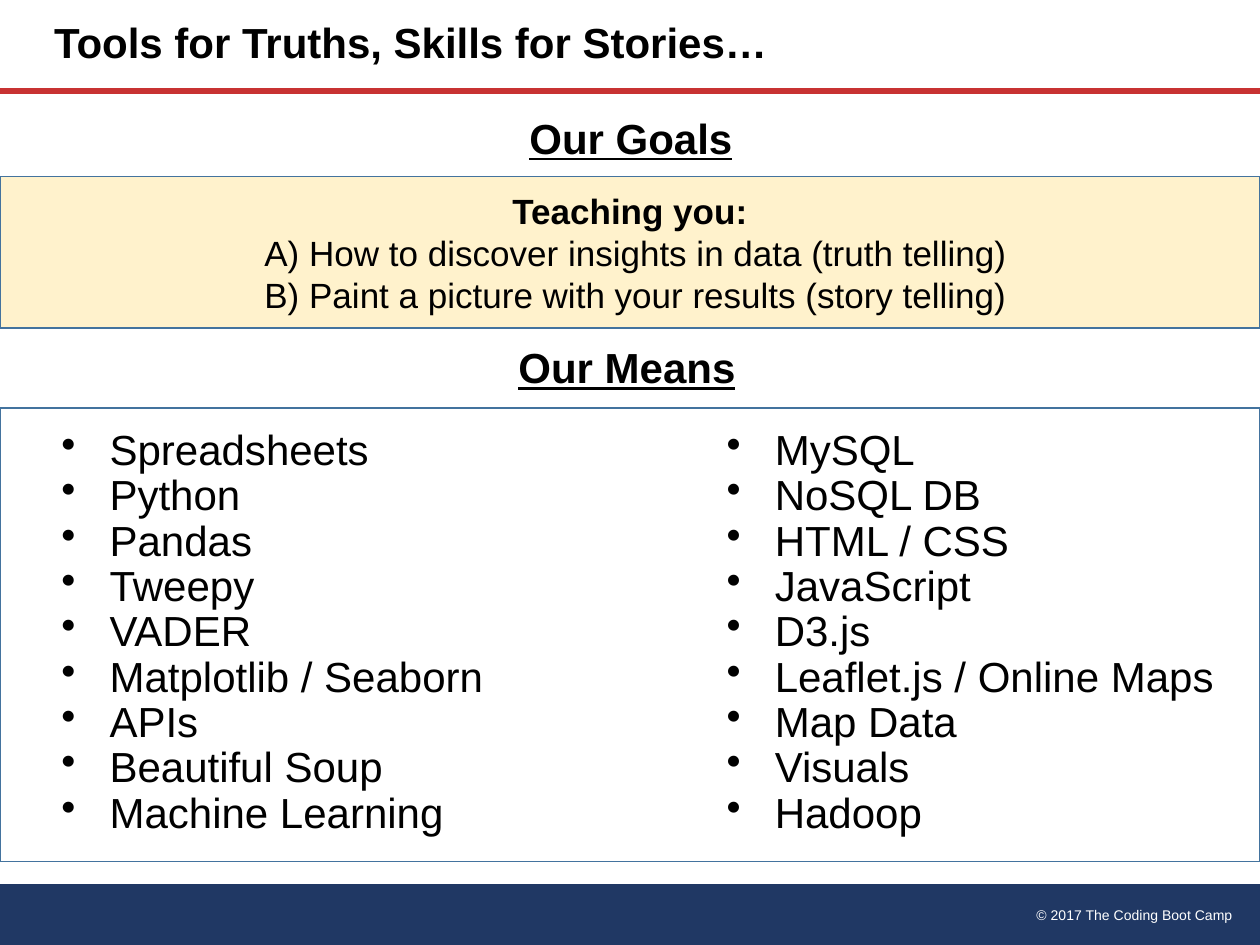
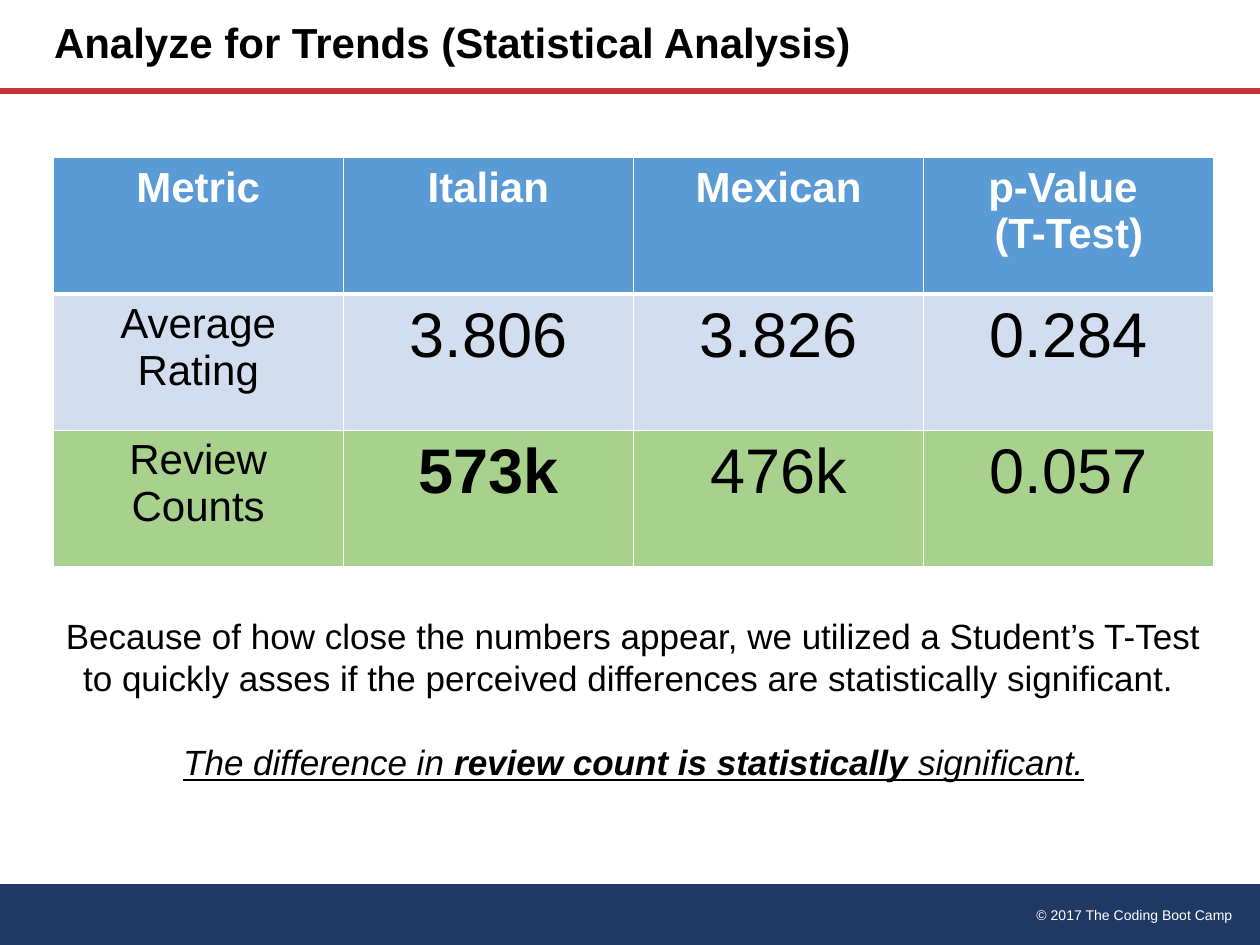
"""Build two boot camp slides: goals and means, and a statistical analysis table."""
from dataclasses import dataclass

from lxml import etree
from pptx import Presentation
from pptx.dml.color import RGBColor
from pptx.enum.shapes import MSO_CONNECTOR, MSO_SHAPE
from pptx.enum.text import MSO_ANCHOR, PP_ALIGN
from pptx.oxml.ns import qn
from pptx.util import Cm, Pt

LEFT, CENTER, RIGHT = PP_ALIGN.LEFT, PP_ALIGN.CENTER, PP_ALIGN.RIGHT
TOP, MIDDLE = MSO_ANCHOR.TOP, MSO_ANCHOR.MIDDLE
RECTANGLE, PROCESS = MSO_SHAPE.RECTANGLE, MSO_SHAPE.FLOWCHART_PROCESS
STRAIGHT = MSO_CONNECTOR.STRAIGHT


@dataclass(frozen=True)
class Theme:
    font: str = "Arial"
    black: str = "000000"
    white: str = "FFFFFF"
    navy: str = "203864"
    red: str = "C83232"
    cream: str = "FFF2CC"
    outline: str = "43739E"
    header: str = "5B9BD5"
    pale_blue: str = "D2DEEF"
    green: str = "A9D18E"
    heading_size: int = 24
    body_size: int = 20
    number_size: int = 36
    footer_size: int = 8


THEME = Theme()
WIDTH, HEIGHT = 25.4, 19.05
COPYRIGHT = "© 2017 The Coding Boot Camp"

GOALS_TITLE = "Tools for Truths, Skills for Stories…"
HEADINGS = [
    ("Our Goals", (7.32, 2.11, 10.8, 1.47)),
    ("Our Means", (7.24, 6.73, 10.8, 1.47)),
]
GOALS_INTRO = "Teaching you:"
GOALS = [
    "A) How to discover insights in data (truth telling)",
    "B) Paint a picture with your results (story telling)",
]
MEANS = [
    (0.99, ["Spreadsheets", "Python", "Pandas", "Tweepy", "VADER",
            "Matplotlib / Seaborn", "APIs", "Beautiful Soup", "Machine Learning"]),
    (14.4, ["MySQL", "NoSQL DB", "HTML / CSS", "JavaScript", "D3.js",
            "Leaflet.js / Online Maps", "Map Data", "Visuals", "Hadoop"]),
]

TRENDS_TITLE = "Analyze for Trends (Statistical Analysis)"
METRICS = [
    ["Metric", "Italian", "Mexican", "p-Value \n(T-Test)"],
    ["Average Rating", "3.806", "3.826", "0.284"],
    ["Review Counts", "573k", "476k", "0.057"],
]
ROW_FILLS = [THEME.header, THEME.pale_blue, THEME.green]
HIGHLIGHT = "573k"
EXPLANATION = (
    "Because of how close the numbers appear, we utilized a Student’s T-Test "
    "to quickly asses if the perceived differences are statistically significant. "
)
CONCLUSION = [
    ("The difference in ", False),
    ("review count is statistically ", True),
    ("significant.", False),
]


def rgb(color):
    return RGBColor.from_string(color)


def write(frame, text, size=THEME.body_size, color=THEME.black, bold=False, italic=False,
          underline=False, align=LEFT, spacing=None, before=0, indent=0, bullet=False):
    """Add one paragraph; text is a string or a list of (text, bold) runs."""
    paragraph = frame.add_paragraph() if frame.text else frame.paragraphs[0]
    properties = paragraph._p.get_or_add_pPr()
    if indent:
        properties.set("marL", str(Cm(indent)))
        properties.set("indent", str(-Cm(indent) if bullet else 0))
    if bullet:
        etree.SubElement(properties, qn("a:buChar")).set("char", "•")
    paragraph.alignment = align
    if spacing:
        paragraph.line_spacing = spacing
    if before:
        paragraph.space_before = Pt(before)
    for run_text, run_bold in [(text, bold)] if isinstance(text, str) else text:
        run = paragraph.add_run()
        run.text = run_text
        run.font.name = THEME.font
        run.font.size = Pt(size)
        run.font.color.rgb = rgb(color)
        run.font.bold = run_bold
        run.font.italic = italic
        run.font.underline = underline


def add_text_box(slide, place, anchor=TOP):
    frame = slide.shapes.add_textbox(*map(Cm, place)).text_frame
    frame.word_wrap = True
    frame.vertical_anchor = anchor
    return frame


def add_block(slide, kind, place, fill=None, line=None):
    shape = slide.shapes.add_shape(kind, *map(Cm, place))
    shape.shadow.inherit = False
    if fill:
        shape.fill.solid()
        shape.fill.fore_color.rgb = rgb(fill)
    else:
        shape.fill.background()
    if line:
        shape.line.color.rgb = rgb(line)
        shape.line.width = Pt(1)
    else:
        shape.line.fill.background()
    return shape


def add_slide(presentation, title):
    slide = presentation.slides.add_slide(presentation.slide_layouts[6])
    add_block(slide, PROCESS, (0, 17.83, WIDTH, 1.27), fill=THEME.navy)
    write(add_text_box(slide, (17.35, 18.16, 7.75, 0.61)), COPYRIGHT,
          size=THEME.footer_size, color=THEME.white, align=RIGHT)
    rule = slide.shapes.add_connector(STRAIGHT, 0, Cm(1.83), Cm(WIDTH), Cm(1.83))
    rule.line.color.rgb = rgb(THEME.red)
    rule.line.width = Pt(3.25)
    etree.SubElement(rule._element.spPr, qn("a:effectLst"))
    write(add_text_box(slide, (0.84, 0, 17.58, 1.83), MIDDLE), title,
          size=THEME.heading_size, bold=True, spacing=0.9)
    return slide


def set_borders(cell, bottom):
    properties = cell._tc.get_or_add_tcPr()
    for side, width in (("L", 1), ("R", 1), ("T", 1), ("B", bottom)):
        line = etree.SubElement(properties, qn(f"a:ln{side}"), w=str(Pt(width)))
        fill = etree.SubElement(line, qn("a:solidFill"))
        etree.SubElement(fill, qn("a:srgbClr"), val=THEME.white)


def add_metrics_table(slide):
    rows, columns = len(METRICS), len(METRICS[0])
    table = slide.shapes.add_table(
        rows, columns, Cm(1.07), Cm(3.18), Cm(5.85 * columns), Cm(2.75 * rows)).table
    table.horz_banding = False
    for row, values in enumerate(METRICS):
        for column, value in enumerate(values):
            cell = table.cell(row, column)
            set_borders(cell, bottom=1 if row else 3)
            cell.fill.solid()
            cell.fill.fore_color.rgb = rgb(ROW_FILLS[row])
            for text in value.split("\n"):
                write(cell.text_frame, text, align=CENTER,
                      size=THEME.number_size if row and column else THEME.heading_size,
                      color=THEME.black if row else THEME.white,
                      bold=row == 0 or value == HIGHLIGHT)


def build_goals_slide(presentation):
    slide = add_slide(presentation, GOALS_TITLE)
    goals = add_block(slide, RECTANGLE, (0, 3.56, WIDTH, 3.05),
                      fill=THEME.cream, line=THEME.outline).text_frame
    goals.vertical_anchor = MIDDLE
    write(goals, GOALS_INTRO, bold=True, align=CENTER)
    for goal in GOALS:
        write(goals, goal, indent=5.08)
    for heading, place in HEADINGS:
        write(add_text_box(slide, place, MIDDLE), heading, size=THEME.heading_size,
              bold=True, underline=True, align=CENTER, spacing=0.9)
    add_block(slide, RECTANGLE, (0, 8.23, WIDTH, 9.14), line=THEME.outline)
    for left, tools in MEANS:
        frame = add_text_box(slide, (left, 8.53, 11, 8.5))
        for tool in tools:
            write(frame, tool, size=THEME.heading_size, spacing=0.9,
                  indent=0.97, bullet=True)


def build_trends_slide(presentation):
    slide = add_slide(presentation, TRENDS_TITLE)
    add_metrics_table(slide)
    note = add_text_box(slide, (1.07, 12.27, 23.4, 3.68))
    write(note, EXPLANATION, align=CENTER)
    write(note, CONCLUSION, italic=True, underline=True, align=CENTER, before=24)


def main():
    presentation = Presentation()
    presentation.slide_width, presentation.slide_height = Cm(WIDTH), Cm(HEIGHT)
    build_goals_slide(presentation)
    build_trends_slide(presentation)
    presentation.save("out.pptx")


if __name__ == "__main__":
    main()
